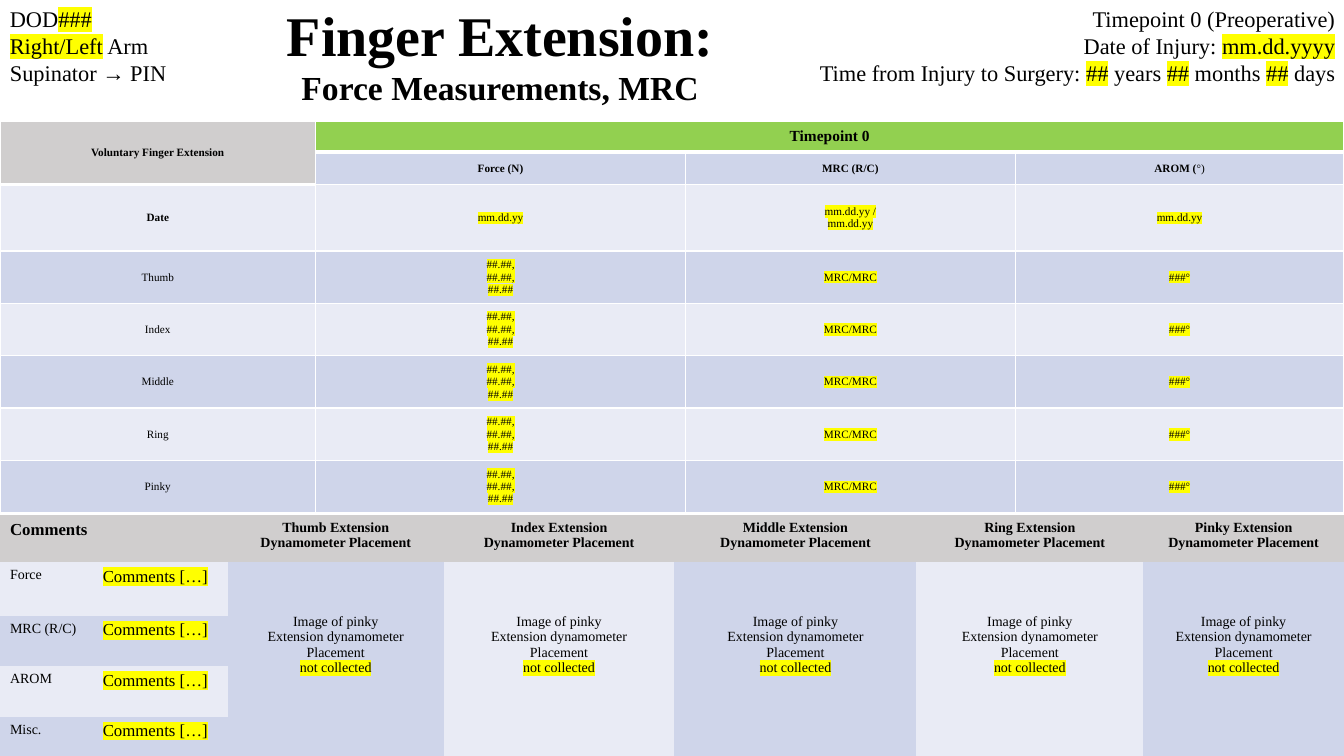
from lxml.etree import SubElement
from pptx import Presentation
from pptx.dml.color import RGBColor
from pptx.enum.text import MSO_ANCHOR as Anchor, MSO_AUTO_SIZE as AutoSize, PP_ALIGN as Align
from pptx.oxml.ns import qn
from pptx.util import Inches, Pt

COLORS = {
    "text": "000000", "marker": "FFFF00", "header": "D0CECE", "timepoint": "92D050",
    "light": "E9EBF5", "dark": "CFD5EA", "border": "FFFFFF",
}
BANDS = ("light", "dark")
NO_GRID_STYLE = "{2D5ABB26-0587-4C30-8999-92F81FD0307C}"


def write(frame, text, size, bold=False, align=Align.CENTER):
    """Fill a frame line by line; text between bars is highlighted."""
    lines = text.split("\n")
    sizes = size if isinstance(size, tuple) else (size,) * len(lines)
    for number, (line, points) in enumerate(zip(lines, sizes)):
        paragraph = frame.paragraphs[0] if number == 0 else frame.add_paragraph()
        paragraph.alignment = align
        for index, piece in enumerate(line.split("|")):
            if not piece:
                continue
            run = paragraph.add_run()
            run.text = piece
            run.font.color.rgb = RGBColor.from_string(COLORS["text"])
            for key, value in {"size": Pt(points), "bold": bold, "name": "Times New Roman"}.items():
                setattr(run.font, key, value)
            if index % 2:
                properties = run.font._element
                marker = SubElement(properties, qn("a:highlight"))
                SubElement(marker, qn("a:srgbClr"), val=COLORS["marker"])
                properties.find(qn("a:solidFill")).addnext(marker)


def add_grid(top, columns, rows):
    frame = slide.shapes.add_table(len(rows), len(columns), 0, Inches(top),
                                   deck.slide_width, Inches(sum(rows)))
    grid = frame.table
    grid.first_row = grid.horz_banding = False
    grid._tbl.tblPr.find(qn("a:tableStyleId")).text = NO_GRID_STYLE
    for column, width in zip(grid.columns, columns):
        column.width = Inches(width)
    for row, height in zip(grid.rows, rows):
        row.height = Inches(height)
    return grid


deck = Presentation()
deck.slide_width, deck.slide_height = Inches(13.33), Inches(7.5)
slide = deck.slides.add_slide(deck.slide_layouts[5])

# Title
title = slide.shapes.title
title.left, title.top, title.width, title.height = map(Inches, (0, 0.15, 9.92, 0.77))
title.text_frame.auto_size = AutoSize.NONE
title.text_frame.vertical_anchor = Anchor.MIDDLE
write(title.text_frame, "Finger Extension:\nForce Measurements, MRC", (40, 24), True)

# Patient details on the left, timing on the right
details = (
    (0, 3.16, Align.LEFT, "DOD|###|\n|Right/Left| Arm\nSupinator → PIN"),
    (7.93, 5.41, Align.RIGHT,
     "Timepoint 0 (Preoperative)\nDate of Injury: |mm.dd.yyyy|\n"
     "Time from Injury to Surgery: |##| years |##| months |##| days"),
)
for left, width, align, text in details:
    detail = slide.shapes.add_textbox(Inches(left), 0, Inches(width), Inches(0.91)).text_frame
    detail.word_wrap = True
    write(detail, text, 16, align=align)

# Comments and dynamometer placements
fingers = ("Thumb", "Index", "Middle", "Ring", "Pinky")
comments = add_grid(5.11, (0.92, 1.34, 2.14, 2.29, 2.4, 2.25, 1.99), (0.47, 0.53, 0.5, 0.5, 0.46))
comments.cell(0, 0).merge(comments.cell(0, 1))
write(comments.cell(0, 0).text_frame, "Comments", 12, True, Align.LEFT)
for row, topic in enumerate(("Force", "MRC (R/C)", "AROM", "Misc."), 1):
    write(comments.cell(row, 0).text_frame, topic, 10, align=Align.LEFT)
    write(comments.cell(row, 1).text_frame, "|Comments […]|", 12, align=Align.LEFT)
for column, finger in enumerate(fingers, 2):
    write(comments.cell(0, column).text_frame,
          f"{finger} Extension\nDynamometer Placement", 10, True)
    placement = comments.cell(1, column)
    placement.merge(comments.cell(4, column))
    placement.margin_top = Inches(0.51)
    write(placement.text_frame,
          "Image of pinky\nExtension dynamometer\nPlacement\n|not collected|", 10)
for row in range(5):
    for column in range(7):
        band = BANDS[(row - 1) % 2] if column < 2 else BANDS[(column - 1) % 2]
        fill = comments.cell(row, column).fill
        fill.solid()
        fill.fore_color.rgb = RGBColor.from_string(COLORS[band if row else "header"])

# Voluntary finger extension measurements
measures = add_grid(1.2, (3.13, 3.67, 3.27, 3.26), (0.31, 0.32, 0.66) + (0.52,) * 5)
measures.cell(0, 0).merge(measures.cell(1, 0))
measures.cell(0, 1).merge(measures.cell(0, 3))
write(measures.cell(0, 0).text_frame, "Voluntary Finger Extension", 8, True)
write(measures.cell(0, 1).text_frame, "Timepoint 0", 11, True)
for column, heading in enumerate(("Force (N)", "MRC (R/C)", "AROM (||°)"), 1):
    write(measures.cell(1, column).text_frame, heading, 8, True)
measures.cell(1, 3).text_frame.paragraphs[0].runs[-1].font.bold = False

dates = ("Date", "|mm.dd.yy|", "|mm.dd.yy /|\n|mm.dd.yy|", "|mm.dd.yy|")
readings = ("|##.##,|\n|##.##,|\n|##.##|", "|MRC/MRC|", "|###°|")
for row, entries in enumerate([dates] + [(finger, *readings) for finger in fingers], 2):
    for column, entry in enumerate(entries):
        write(measures.cell(row, column).text_frame, entry, 8, entry == "Date")

# Fills and white borders of the measurements
for row in range(8):
    for column in range(4):
        cell = measures.cell(row, column)
        cell.vertical_anchor = Anchor.MIDDLE
        tone = BANDS[row % 2]
        if row < 2 and column == 0:
            tone = "header"
        elif row == 0:
            tone = "timepoint"
        cell.fill.solid()
        cell.fill.fore_color.rgb = RGBColor.from_string(COLORS[tone])
        properties = cell._tc.get_or_add_tcPr()
        for order, side in enumerate(("lnL", "lnR", "lnT", "lnB")):
            heavy = side == "lnB" and (row == 0 or (row, column) == (1, 0))
            border = SubElement(properties, qn(f"a:{side}"), w=str(Pt(3 if heavy else 1)))
            paint = SubElement(border, qn("a:solidFill"))
            SubElement(paint, qn("a:srgbClr"), val=COLORS["border"])
            properties.insert(order, border)

deck.save("out.pptx")
